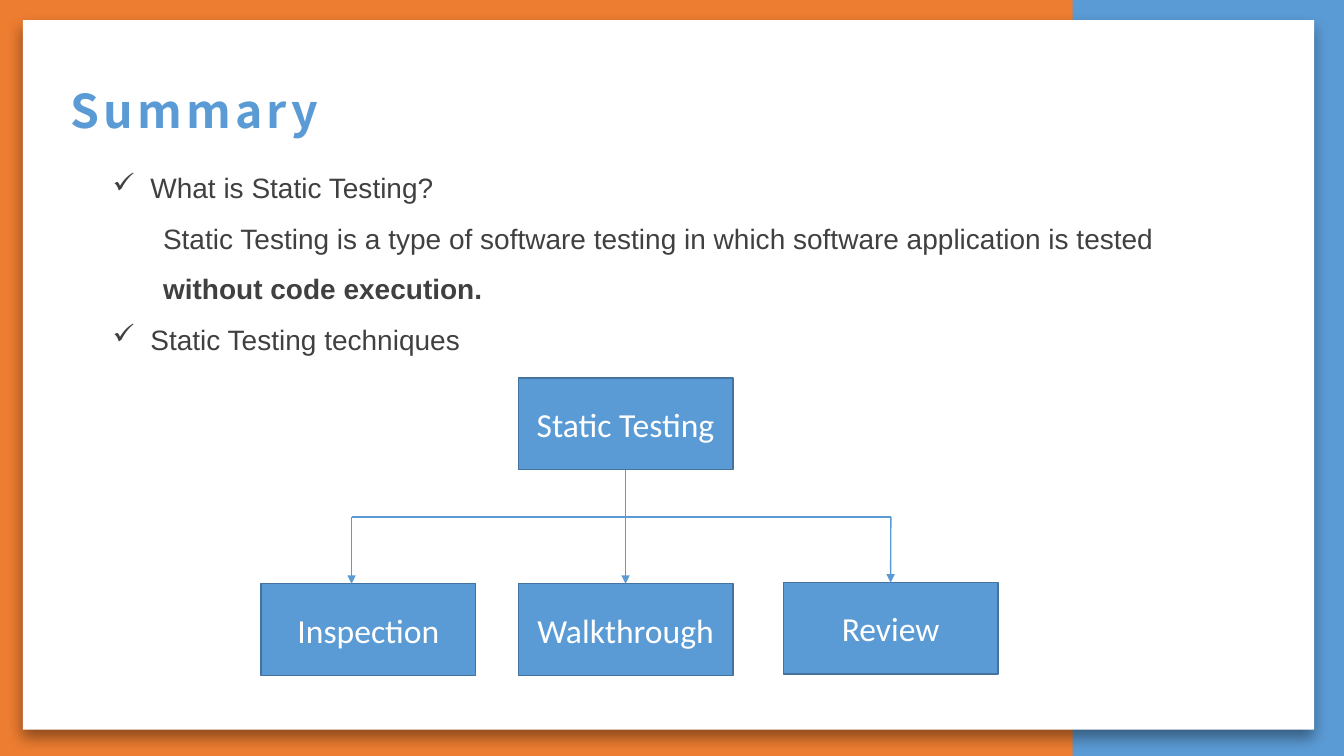
from dataclasses import dataclass

from lxml import etree
from pptx import Presentation
from pptx.dml.color import RGBColor
from pptx.enum import shapes, text
from pptx.oxml import parse_xml
from pptx.oxml.ns import nsdecls, qn
from pptx.util import Cm, Pt


@dataclass(frozen=True)
class Theme:
    blue: str = "5B9BD5"
    outline: str = "43739E"
    orange: str = "ED7D31"
    white: str = "FFFFFF"
    body: str = "404040"
    title_font: str = "Noto Sans CJK SC"
    body_font: str = "Arial"
    box_font: str = "Calibri"
    title_size: float = 33.2
    body_size: float = 20
    box_size: float = 24


@dataclass(frozen=True)
class Box:
    label: str
    left: float
    top: float
    width: float = 5.41
    height: float = 2.31


@dataclass(frozen=True)
class Item:
    label: str
    emphasis: str = ""
    margin: float = 0.95
    bullet: str = ""


THEME = Theme()
ROOT = Box("Static Testing", 13.06, 9.53)
INSPECTION = Box("Inspection", 6.58, 14.71)
WALKTHROUGH = Box("Walkthrough", 13.06, 14.71)
REVIEW = Box("Review", 19.74, 14.68)
BRANCH_LEFT, BRANCH_RIGHT, BRANCH_TOP = 8.86, 22.45, 13.03
ITEMS = (
    Item("What is Static Testing?", bullet="✓"),
    Item(
        "Static Testing\u00a0is a type of software testing in which software application is tested ".replace("\u00a0", " "),
        emphasis="without code execution.",
        margin=1.27,
    ),
    Item("Static Testing techniques", bullet="✓"),
)


def add_text(paragraph, content: str, *, font: str, size: float, color: str,
             bold: bool = False, spacing: float = 0):
    run = paragraph.add_run()
    run.text = content
    run.font.name = font
    run.font.size = Pt(size)
    run.font.bold = bold
    run.font.color.rgb = RGBColor.from_string(color)
    properties = run.font._element
    if spacing:
        properties.set("spc", str(round(spacing * 100)))
    east_asian = etree.Element(qn("a:ea"), typeface=font)
    properties.find(qn("a:latin")).addnext(east_asian)


def add_rectangle(slide, box: Box, fill: str, line: str = ""):
    shape = slide.shapes.add_shape(
        shapes.MSO_SHAPE.RECTANGLE,
        Cm(box.left), Cm(box.top), Cm(box.width), Cm(box.height),
    )
    shape.shadow.inherit = False
    shape.fill.solid()
    shape.fill.fore_color.rgb = RGBColor.from_string(fill)
    if line:
        shape.line.color.rgb = RGBColor.from_string(line)
        shape.line.width = Pt(1)
    else:
        shape.line.fill.background()
    if box.label:
        frame = shape.text_frame
        frame.vertical_anchor = text.MSO_ANCHOR.MIDDLE
        paragraph = frame.paragraphs[0]
        paragraph.alignment = text.PP_ALIGN.CENTER
        add_text(paragraph, box.label, font=THEME.box_font,
                 size=THEME.box_size, color=THEME.white)
    return shape


def add_shadow(shape) -> None:
    effects = shape._element.spPr.find(qn("a:effectLst"))
    effects.append(parse_xml(
        f'<a:outerShdw {nsdecls("a")} blurRad="{Pt(10)}" dist="{Pt(6)}" dir="5400000">'
        '<a:srgbClr val="000000"><a:alpha val="40000"/></a:srgbClr></a:outerShdw>'
    ))


def add_line(slide, start: tuple[float, float], end: tuple[float, float],
             arrow: bool = True):
    connector = slide.shapes.add_connector(
        shapes.MSO_CONNECTOR.STRAIGHT, *map(Cm, start + end))
    connector.line.color.rgb = RGBColor.from_string(THEME.blue)
    connector.line.width = Pt(1)
    if arrow:
        line = connector.line._get_or_add_ln()
        etree.SubElement(line, qn("a:tailEnd"), type="triangle")
    etree.SubElement(connector._element.spPr, qn("a:effectLst"))
    return connector


def add_frame(slide, left: float, top: float, width: float, height: float):
    frame = slide.shapes.add_textbox(
        Cm(left), Cm(top), Cm(width), Cm(height)).text_frame
    frame.word_wrap = True
    return frame


def add_items(slide) -> None:
    frame = add_frame(slide, 2.59, 3.76, 29.18, 6.65)
    for index, item in enumerate(ITEMS):
        paragraph = frame.add_paragraph() if index else frame.paragraphs[0]
        paragraph.line_spacing = 1.5
        properties = paragraph._element.get_or_add_pPr()
        properties.set("marL", str(Cm(item.margin)))
        if item.bullet:
            properties.set("indent", str(-Cm(item.margin)))
            etree.SubElement(properties, qn("a:buChar"), char=item.bullet)
        style = dict(font=THEME.body_font, size=THEME.body_size, color=THEME.body)
        add_text(paragraph, item.label, **style)
        if item.emphasis:
            add_text(paragraph, item.emphasis, bold=True, **style)


def add_title(slide) -> None:
    paragraph = add_frame(slide, 1.52, 1.8, 27.74, 1.75).paragraphs[0]
    paragraph.line_spacing = 1.1
    paragraph.space_before = paragraph.space_after = Pt(3)
    add_text(paragraph, "Summary", font=THEME.title_font, size=THEME.title_size,
             color=THEME.blue, bold=True, spacing=3)


def add_diagram(slide) -> None:
    root, inspection, walkthrough, review = (
        add_rectangle(slide, box, THEME.blue, THEME.outline)
        for box in (ROOT, INSPECTION, WALKTHROUGH, REVIEW)
    )
    center = ROOT.left + ROOT.width / 2
    trunk = add_line(slide, (center, ROOT.top + ROOT.height), (center, WALKTHROUGH.top))
    trunk.begin_connect(root, 2)
    trunk.end_connect(walkthrough, 0)
    add_line(slide, (BRANCH_LEFT, BRANCH_TOP), (BRANCH_RIGHT, BRANCH_TOP), arrow=False)
    add_line(slide, (BRANCH_LEFT, BRANCH_TOP), (BRANCH_LEFT, INSPECTION.top))
    branch = add_line(slide, (BRANCH_RIGHT, BRANCH_TOP), (BRANCH_RIGHT, REVIEW.top))
    branch.end_connect(review, 0)


def main() -> None:
    presentation = Presentation()
    presentation.slide_width, presentation.slide_height = Cm(33.87), Cm(19.05)
    slide = presentation.slides.add_slide(presentation.slide_layouts[6])
    slide.background.fill.solid()
    slide.background.fill.fore_color.rgb = RGBColor.from_string(THEME.blue)
    add_rectangle(slide, Box("", 0, 0, 27.03, 19.05), THEME.orange)
    add_shadow(add_rectangle(slide, Box("", 0.58, 0.51, 32.54, 17.88), THEME.white))
    add_items(slide)
    add_diagram(slide)
    add_title(slide)


    presentation.save("out.pptx")


if __name__ == "__main__":
    main()
